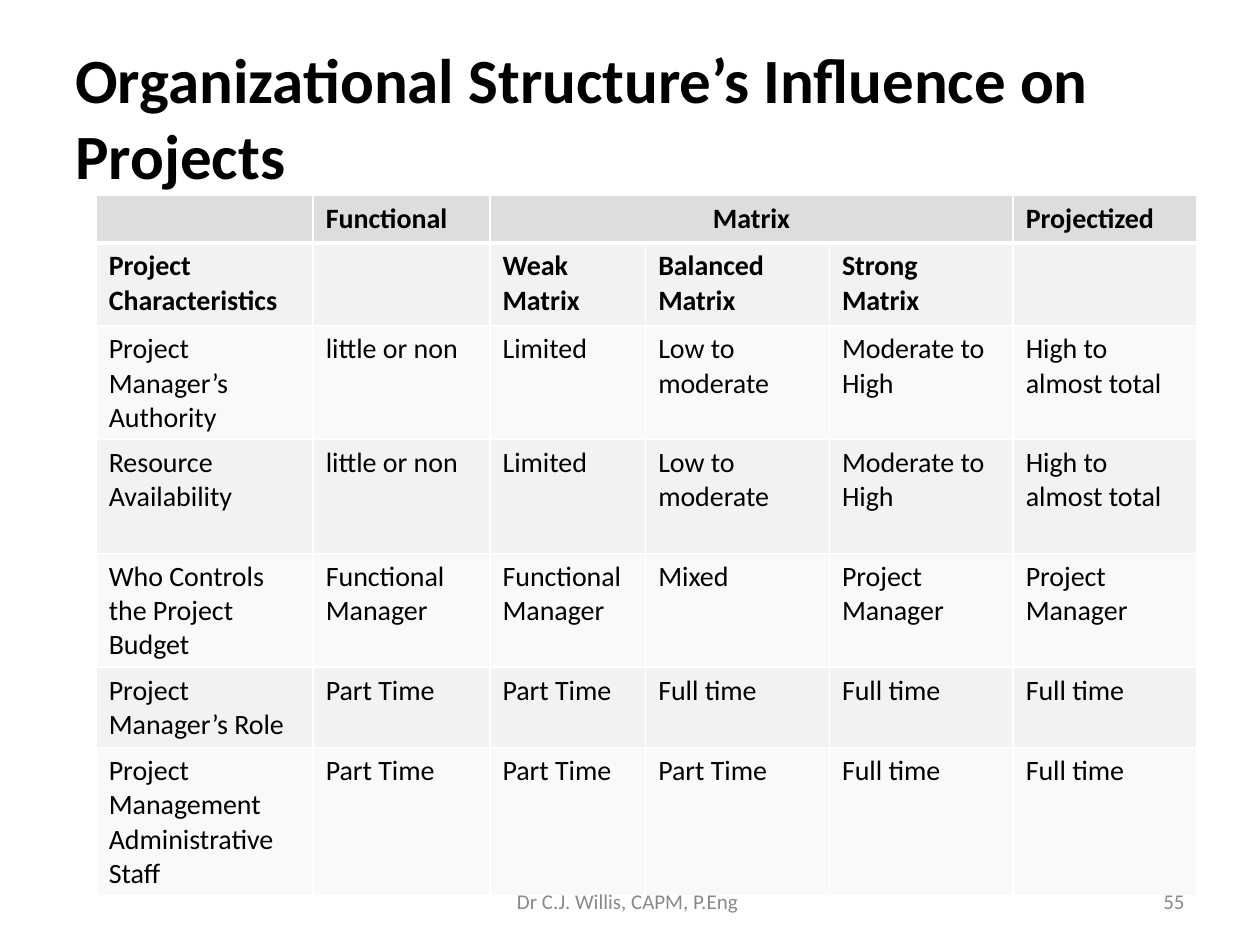
from pptx import Presentation
from pptx.dml.color import RGBColor
from pptx.enum.text import MSO_ANCHOR, PP_ALIGN
from pptx.oxml.ns import qn
from pptx.util import Pt
from lxml.etree import SubElement

FONT = "Calibri"
BLACK = RGBColor(0x00, 0x00, 0x00)
GREY = RGBColor(0x89, 0x89, 0x89)
WHITE = RGBColor(0xFF, 0xFF, 0xFF)
HEADER_FILL = RGBColor(0xDD, 0xDD, 0xDD)
BAND_FILLS = (RGBColor(0xF9, 0xF9, 0xF9), RGBColor(0xF2, 0xF2, 0xF2))

CELL_SIZE = 16
COLUMN_WIDTHS = (124, 101, 89, 105, 105, 105)
ROW_HEIGHTS = (27, 47.5, 65, 65, 65, 46, 84.5)
BOLD_ROWS = 2
ROWS = (
    ("", "Functional", "Matrix", "", "", "Projectized"),
    ("Project Characteristics", "", "Weak Matrix", "Balanced Matrix",
     "Strong Matrix", ""),
    ("Project Manager’s Authority", "little or non", "Limited",
     "Low to moderate", "Moderate to High", "High to almost total"),
    ("Resource Availability", "little or non", "Limited",
     "Low to moderate", "Moderate to High", "High to almost total"),
    ("Who Controls the Project Budget", "Functional Manager",
     "Functional Manager", "Mixed", "Project Manager", "Project Manager"),
    ("Project Manager’s Role", "Part Time", "Part Time",
     "Full time", "Full time", "Full time"),
    ("Project Management Administrative Staff", "Part Time", "Part Time",
     "Part Time", "Full time", "Full time"),
)


def style_paragraph(para, size, color, bold=False, align=PP_ALIGN.LEFT):
    para.alignment = align
    para.font.name = FONT
    para.font.size = Pt(size)
    para.font.bold = bold
    para.font.color.rgb = color


def add_text(page, text, left, top, width, height, size, color, **style):
    box = page.shapes.add_textbox(Pt(left), Pt(top), Pt(width), Pt(height))
    frame = box.text_frame
    frame.word_wrap = True
    frame.vertical_anchor = MSO_ANCHOR.MIDDLE
    frame.text = text
    style_paragraph(frame.paragraphs[0], size, color, **style)


def set_borders(cell, top, bottom):
    """Draw white cell borders; the side borders are always 1 pt."""
    properties = cell._tc.get_or_add_tcPr()
    widths = {"a:lnL": 1, "a:lnR": 1, "a:lnT": top, "a:lnB": bottom}
    for tag, width in widths.items():
        line = SubElement(properties, qn(tag), w=str(Pt(width)))
        fill = SubElement(line, qn("a:solidFill"))
        SubElement(fill, qn("a:srgbClr"), val=str(WHITE))


def fill_cell(cell, text, row):
    # Borders must precede the fill in the cell properties
    set_borders(cell, top=3 if row == 1 else 1, bottom=3 if row == 0 else 1)
    cell.fill.solid()
    cell.fill.fore_color.rgb = BAND_FILLS[row % 2] if row else HEADER_FILL
    cell.text = text
    para = cell.text_frame.paragraphs[0]
    align = PP_ALIGN.CENTER if text == "Matrix" else PP_ALIGN.LEFT
    style_paragraph(para, CELL_SIZE, BLACK, row < BOLD_ROWS, align)
    if not text:
        # Keeps an empty cell from stretching its row
        para._p.get_or_add_endParaRPr().set("sz", str(CELL_SIZE * 100))


def add_comparison_table(page, left, top):
    table = page.shapes.add_table(
        len(ROWS), len(COLUMN_WIDTHS), Pt(left), Pt(top),
        Pt(sum(COLUMN_WIDTHS)), Pt(sum(ROW_HEIGHTS))).table
    table.first_row = False
    table.horz_banding = False
    for column, width in zip(table.columns, COLUMN_WIDTHS):
        column.width = Pt(width)
    for row, height in zip(table.rows, ROW_HEIGHTS):
        row.height = Pt(height)
    for row, texts in enumerate(ROWS):
        for column, text in enumerate(texts):
            fill_cell(table.cell(row, column), text, row)
    # "Matrix" heads the three matrix columns
    table.cell(0, 2).merge(table.cell(0, 4))


def main():
    deck = Presentation()
    deck.slide_width, deck.slide_height = Pt(720), Pt(540)
    page = deck.slides.add_slide(deck.slide_layouts[6])

    # Title
    add_text(page, "Organizational Structure’s Influence on Projects",
             36, 21.6, 648, 90, 36, BLACK, bold=True)

    # Comparison of organizational structures
    add_comparison_table(page, 55, 111.8)

    # Slide number and footer
    add_text(page, "55", 516, 500.5, 168, 28.75, 12, GREY,
             align=PP_ALIGN.RIGHT)
    add_text(page, "Dr C.J. Willis, CAPM, P.Eng ", 246, 500.5, 228, 28.75,
             12, GREY, align=PP_ALIGN.CENTER)

    deck.save("out.pptx")


if __name__ == "__main__":
    main()
